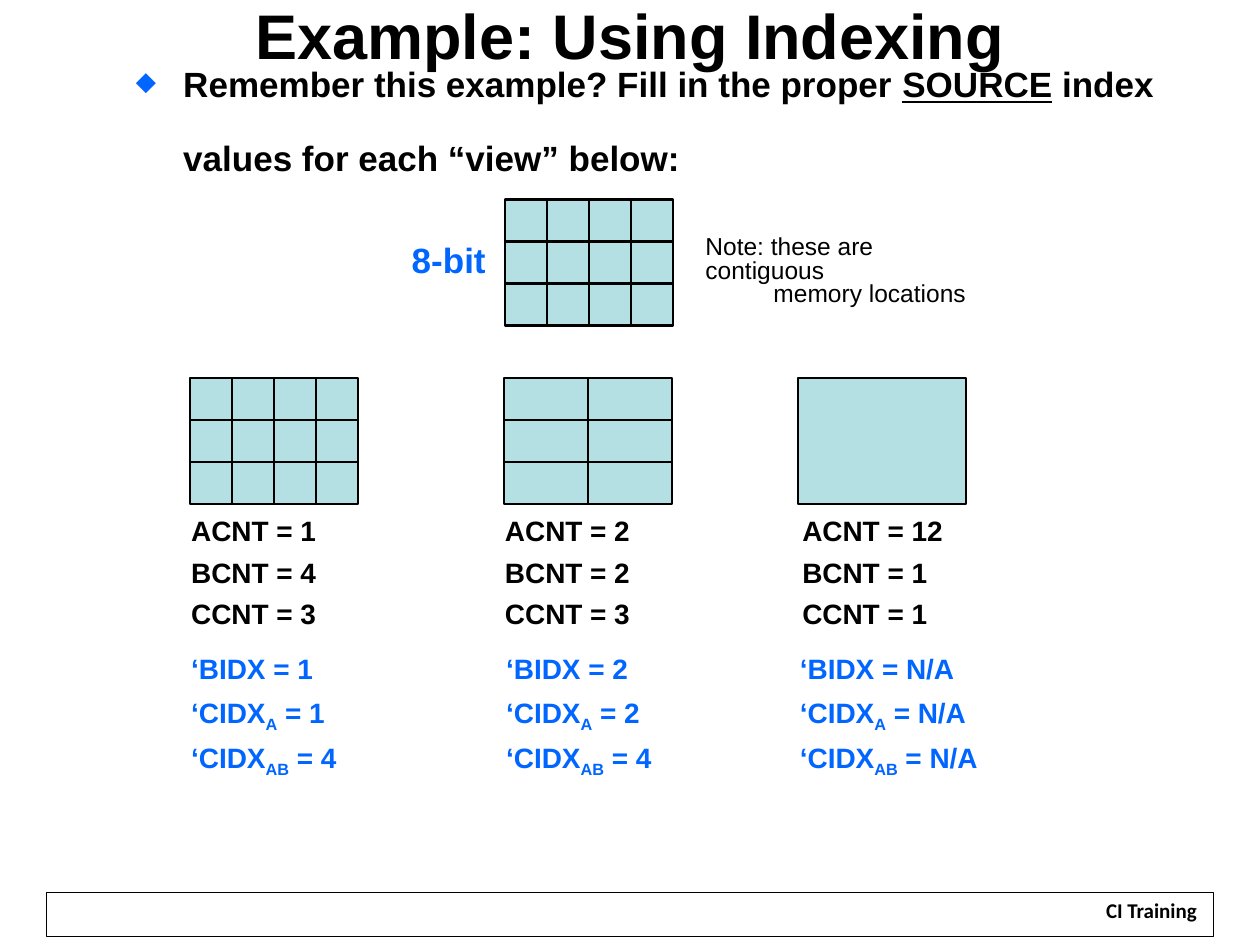
"""Build the slide on source index values for three views of an 8-bit array."""
from lxml import etree
from pptx import Presentation
from pptx import util as u
from pptx.dml.color import RGBColor
from pptx.enum import shapes, text
from pptx.oxml.ns import qn

COLORS = {"ink": "000000", "blue": "0066FF", "cell": "B5E0E3", "paper": "FFFFFF"}
TITLE = "Example: Using Indexing"
QUESTION = [
    [("Remember this example? Fill in the proper ", {}),
     ("SOURCE", {"underline": True}), (" index", {})],
    [("values for each “view” below:", {})],
]
NOTE = ["Note: these are contiguous", "memory locations"]
FOOTER = "CI Training"
VIEWS = [
    {"grid": (108.6, 4, 3), "counts": (102.2, 90.7, (1, 4, 3)),
     "indexes": (102.2, 100, (1, 1, 4))},
    {"grid": (288, 2, 3), "counts": (281.5, 90.7, (2, 2, 3)),
     "indexes": (282.2, 100, (2, 2, 4))},
    {"grid": (456, 1, 1), "counts": (451.4, 95, (12, 1, 1)),
     "indexes": (450, 118.8, ("N/A", "N/A", "N/A"))},
]
COUNT_NAMES = ("ACNT", "BCNT", "CCNT")
INDEX_NAMES = (("‘BIDX", ""), ("‘CIDX", "A"), ("‘CIDX", "AB"))
GRID_WIDTH, GRID_HEIGHT = 96, 72
GRID_TOP, COUNT_TOP, INDEX_TOP, LIST_HEIGHT = 216, 293.8, 372.2, 72.7
STEP = 8.4


def rgb(name):
    return RGBColor.from_string(COLORS[name])


def apply(target, values):
    for key, value in values.items():
        setattr(target, key, value)


def style(font, size, color="ink", bold=True, face="Arial"):
    apply(font, {"name": face, "size": u.Pt(size), "bold": bold})
    font.color.rgb = rgb(color)


def write(frame, paragraphs, spacing, font, before=0, **layout):
    apply(frame, layout)
    for number, runs in enumerate(paragraphs):
        paragraph = frame.add_paragraph() if number else frame.paragraphs[0]
        paragraph.line_spacing = spacing
        if number and before:
            paragraph.space_before = u.Pt(before)
        for words, extra in runs:
            run = paragraph.add_run()
            run.text = words
            style(run.font, **font)
            for key, value in extra.items():
                if key == "baseline":
                    run.font._element.set(key, value)
                else:
                    setattr(run.font, key, value)
    return frame.paragraphs


def add_text(place, paragraphs, spacing, font, before=0, **layout):
    box = slide.shapes.add_textbox(*map(u.Pt, place))
    settings = {"word_wrap": False,
                "auto_size": text.MSO_AUTO_SIZE.SHAPE_TO_FIT_TEXT, **layout}
    return write(box.text_frame, paragraphs, spacing, font, before, **settings)


def indent(paragraph, left, first=0):
    properties = paragraph._p.get_or_add_pPr()
    properties.set("marL", str(u.Pt(left)))
    properties.set("indent", str(u.Pt(first)))
    return properties


def add_bullet(properties, char, color, percent):
    tint = etree.SubElement(properties, qn("a:buClr"))
    etree.SubElement(tint, qn("a:srgbClr"), val=COLORS[color])
    etree.SubElement(properties, qn("a:buSzPct"), val=str(percent * 1000))
    etree.SubElement(properties, qn("a:buChar"), char=char)


def add_box(container, place, fill=None, line=None):
    box = container.add_shape(shapes.MSO_SHAPE.RECTANGLE, *map(u.Pt, place))
    box.shadow.inherit = False
    if fill:
        box.fill.solid()
        box.fill.fore_color.rgb = rgb(fill)
    else:
        box.fill.background()
    if line:
        box.line.color.rgb = rgb("ink")
        box.line.width = u.Pt(line)
    else:
        box.line.fill.background()
    return box


def add_grid(container, left, top, columns, rows):
    width, height = GRID_WIDTH / columns, GRID_HEIGHT / rows
    for row in range(rows):
        for column in range(columns):
            place = (left + column * width, top + row * height, width, height)
            add_box(container, place, "cell", 1.5)


def index_line(name, subscript, value):
    if not subscript:
        return [(f"{name} = {value}", {})]
    return [(name, {}), (subscript, {"baseline": "-25000"}), (f" = {value}", {})]


deck = Presentation()
apply(deck, {"slide_width": u.Pt(720), "slide_height": u.Pt(540)})
slide = deck.slides.add_slide(deck.slide_layouts[5])

add_box(slide.shapes, (26.6, 509.8, 666.7, 25.2), line=0.75)
footer = add_box(slide.shapes, (624.2, 511.9, 67.7, 21.6), "paper")
write(footer.text_frame, [[(FOOTER, {})]], 0.8, {"size": 12, "face": "Calibri"},
      word_wrap=False, vertical_anchor=text.MSO_ANCHOR.TOP)
footer.text_frame.paragraphs[0].alignment = text.PP_ALIGN.CENTER

title = slide.shapes.title
apply(title, {"left": u.Pt(0), "top": u.Pt(4.3),
              "width": u.Pt(720), "height": u.Pt(48.2)})
margins = {f"margin_{side}": u.Pt(3.6) for side in ("left", "top", "right", "bottom")}
write(title.text_frame, [[(TITLE, {})]], 0.75, {"size": 36}, word_wrap=True,
      auto_size=text.MSO_AUTO_SIZE.NONE, vertical_anchor=text.MSO_ANCHOR.TOP, **margins)
title.text_frame.paragraphs[0].alignment = text.PP_ALIGN.CENTER

add_grid(slide.shapes.add_group_shape().shapes, 288.6, 114, 4, 3)
add_text((228.2, 137.5, 56.9, 26.6), [[("8-bit", {})]], 0.8,
         {"size": 20, "color": "blue"})

first, second = add_text((70.6, 45.4, 600, 50.4), QUESTION, 0.9, {"size": 20}, 20.7,
                         word_wrap=True, vertical_anchor=text.MSO_ANCHOR.MIDDLE)
add_bullet(indent(first, 27, -27), "◆", "blue", 75)
indent(second, 27)

note = add_text((396, 131.8, 181.4, 33.8), [[(line, {})] for line in NOTE], 0.8,
                {"size": 14, "bold": False}, word_wrap=True)
indent(note[1], 38.9)

for view in VIEWS:
    left, columns, rows = view["grid"]
    add_grid(slide.shapes, left, GRID_TOP, columns, rows)
    left, width, values = view["counts"]
    counts = [[(f"{name} = {value}", {})] for name, value in zip(COUNT_NAMES, values)]
    add_text((left, COUNT_TOP, width, LIST_HEIGHT), counts, 0.8, {"size": 16}, STEP)
    left, width, values = view["indexes"]
    indexes = [index_line(*name, value) for name, value in zip(INDEX_NAMES, values)]
    add_text((left, INDEX_TOP, width, LIST_HEIGHT), indexes, 0.8,
             {"size": 16, "color": "blue"}, STEP)

deck.save("out.pptx")
